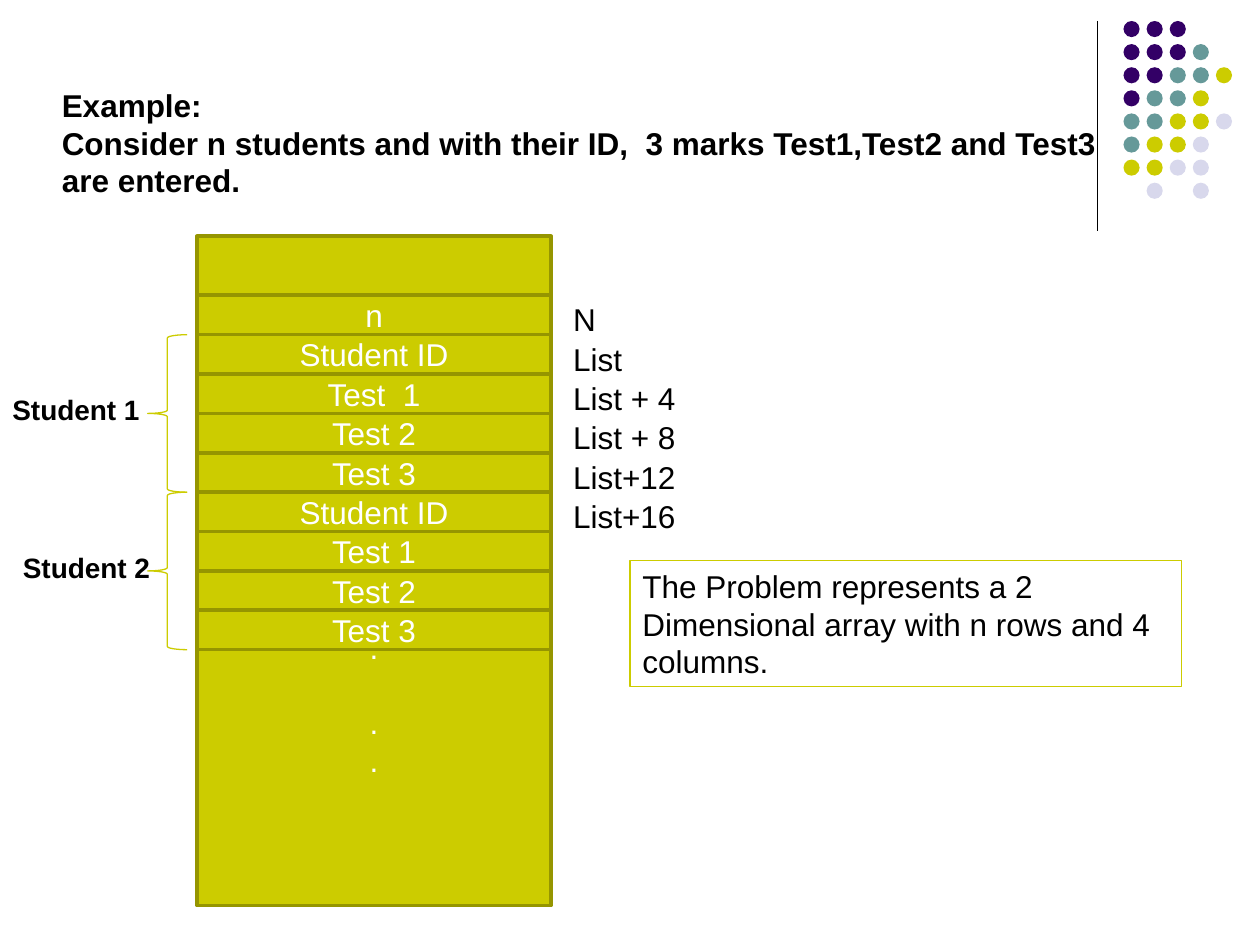
from pptx import Presentation
from pptx.dml.color import RGBColor
from pptx.enum.shapes import MSO_CONNECTOR, MSO_SHAPE
from pptx.enum.text import MSO_ANCHOR, MSO_AUTO_SIZE, PP_ALIGN
from pptx.oxml.ns import qn
from pptx.util import Pt

RECT, OVAL, BRACE = MSO_SHAPE.RECTANGLE, MSO_SHAPE.OVAL, MSO_SHAPE.LEFT_BRACE
TOP, MIDDLE = MSO_ANCHOR.TOP, MSO_ANCHOR.MIDDLE
LEFT, CENTER = PP_ALIGN.LEFT, PP_ALIGN.CENTER

# Content
TITLE = ["Example:",
         "Consider n students and with their ID,  3 marks Test1,Test2 and Test3 are entered."]
CELLS = ["n", "Student ID", "Test  1", "Test 2", "Test 3",
         "Student ID", "Test 1", "Test 2", "Test 3"]
ADDRESSES = ["N", "List", "List + 4", "List + 8", "List+12", "List+16"]
STUDENTS = [("Student 1", 0), ("Student 2", 6)]  # label, left edge
NOTE = "The Problem represents a 2 Dimensional array with n rows and 4 columns."
DOT_ROWS = ["PPP", "PPPT", "PPTTY", "PTTY", "TTYYL", "TYYL", "YYLL", " L L"]

THEME = {
    "font": "Arial", "body": 18, "label": 16, "leading": 1.2,
    "text": "000000", "white": "FFFFFF", "fill": "CCCC00", "edge": "959500",
    "dots": {"P": "330066", "T": "669999", "Y": "CCCC00", "L": "D8D8EC"},
}

# Layout
COL_X, COL_Y, COL_W, COL_H = 112.5, 135, 202.5, 382.5
CELL_Y, CELL_H = 168.75, 22.5
FIELDS = 4  # cells per student
DOT_X, DOT_Y, DOT_STEP, DOT_SIZE = 642, 12, 13.2, 9.2
LINE_H = THEME["body"] * THEME["leading"]


def rgb(name):
    return RGBColor.from_string(THEME.get(name, name))


def write(sp, lines, color="text", size="body", bold=False, align=LEFT, anchor=TOP):
    tf = sp.text_frame
    tf.word_wrap = True
    tf.auto_size = MSO_AUTO_SIZE.NONE
    tf.vertical_anchor = anchor
    tf.margin_left = tf.margin_right = Pt(7.2)
    tf.margin_top = tf.margin_bottom = Pt(3.6)
    for i, line in enumerate(lines):
        p = tf.add_paragraph() if i else tf.paragraphs[0]
        p.alignment = align
        p.line_spacing = Pt(THEME[size] * THEME["leading"])
        r = p.add_run()
        r.text = line
        r.font.name, r.font.size = THEME["font"], Pt(THEME[size])
        r.font.bold, r.font.color.rgb = bold, rgb(color)
    return tf


def add_shape(slide, kind, x, y, w, h, fill=None, line=None, width=0.75):
    sp = slide.shapes.add_shape(kind, Pt(x), Pt(y), Pt(w), Pt(h))
    sp.shadow.inherit = False
    if fill:
        sp.fill.solid()
        sp.fill.fore_color.rgb = rgb(fill)
    else:
        sp.fill.background()
    if line:
        sp.line.color.rgb = rgb(line)
        sp.line.width = Pt(width)
    else:
        sp.line.fill.background()
    return sp


def add_label(slide, text, x, y, w, h, **style):
    write(slide.shapes.add_textbox(Pt(x), Pt(y), Pt(w), Pt(h)), [text], **style)


def add_decoration(slide):
    rule = slide.shapes.add_connector(MSO_CONNECTOR.STRAIGHT,
                                      Pt(627), Pt(12), Pt(627), Pt(132))
    rule.line.color.rgb = rgb("text")
    rule.line.width = Pt(0.75)
    sp_pr = rule._element.spPr
    sp_pr.append(sp_pr.makeelement(qn("a:effectLst"), {}))
    for row, codes in enumerate(DOT_ROWS):
        for col, code in enumerate(codes):
            if code != " ":
                add_shape(slide, OVAL, DOT_X + col * DOT_STEP, DOT_Y + row * DOT_STEP,
                          DOT_SIZE, DOT_SIZE, fill=THEME["dots"][code])


def add_memory(slide):
    # Whole column, with dots below the named cells
    sp = add_shape(slide, RECT, COL_X, COL_Y, COL_W, COL_H, "fill", "edge", 2)
    tf = write(sp, [".", ".", "."], color="white", align=CENTER)
    tf.margin_top = Pt(223.65)
    tf.paragraphs[1].space_before = Pt(LINE_H)
    # Named cells
    for i, text in enumerate(CELLS):
        sp = add_shape(slide, RECT, COL_X, CELL_Y + i * CELL_H, COL_W, CELL_H,
                       "fill", "edge", 2)
        write(sp, [text], color="white", align=CENTER, anchor=MIDDLE)
    # Addresses beside the cells
    for i, text in enumerate(ADDRESSES):
        add_label(slide, text, 320.4, 168 + i * CELL_H, 106, 28.8)


def add_students(slide):
    height = FIELDS * CELL_H
    for i, (text, x) in enumerate(STUDENTS):
        y = CELL_Y + CELL_H + i * height
        add_shape(slide, BRACE, 84.4, y, 22.5, height, line="fill")
        add_label(slide, text, x, y + 29.8, 90, 26.6, size="label", bold=True)


def main():
    prs = Presentation()
    prs.slide_width, prs.slide_height = Pt(720), Pt(540)
    slide = prs.slides.add_slide(prs.slide_layouts[5])

    add_decoration(slide)

    # Title
    title = slide.shapes.title
    title.left, title.top, title.width, title.height = Pt(28.1), Pt(45.4), Pt(635.8), Pt(93.6)
    write(title, TITLE, bold=True)

    add_memory(slide)
    add_students(slide)

    # Note
    note = add_shape(slide, RECT, 360, 320.4, 315, 72, line="fill")
    write(note, [NOTE])

    prs.save("out.pptx")


if __name__ == "__main__":
    main()
